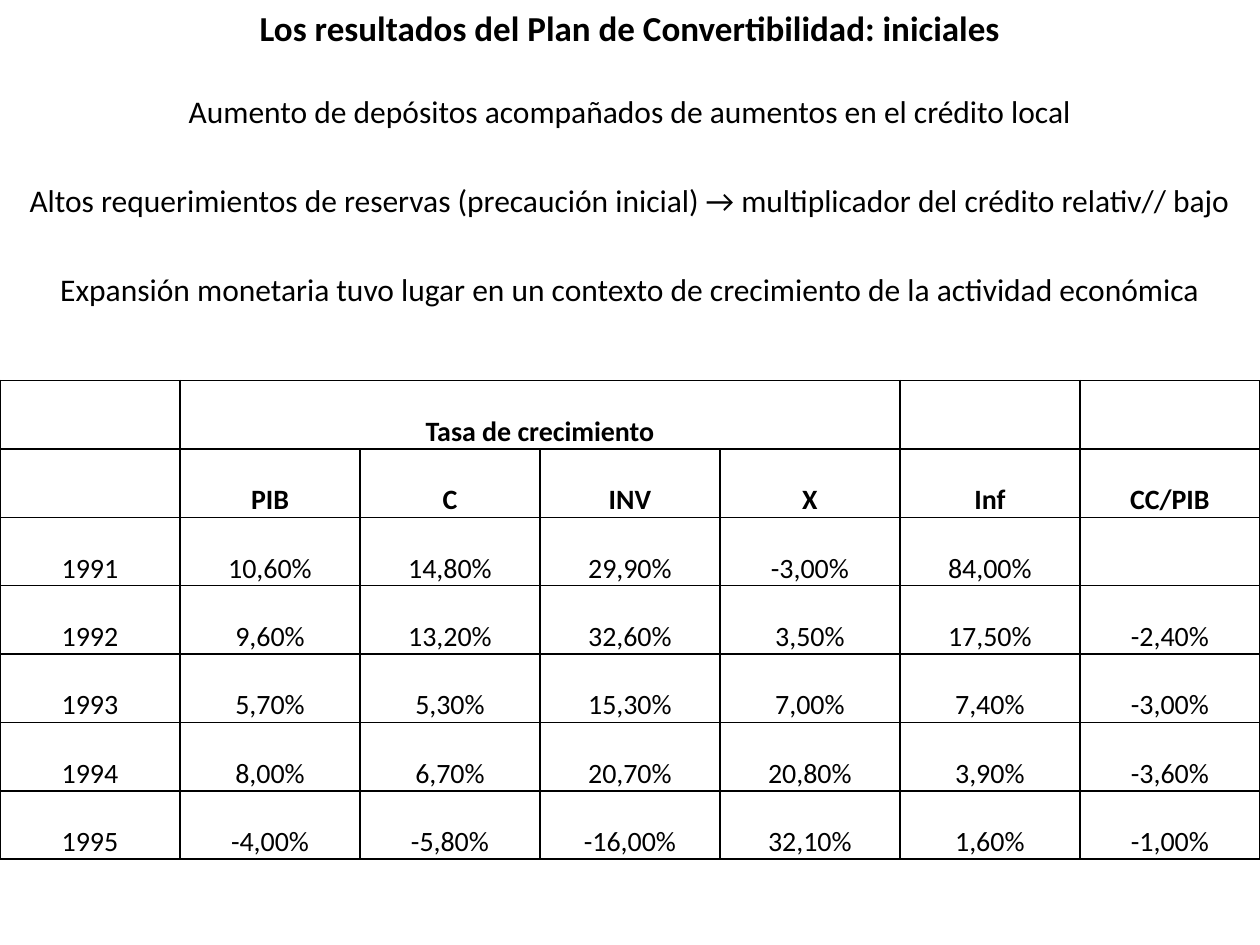
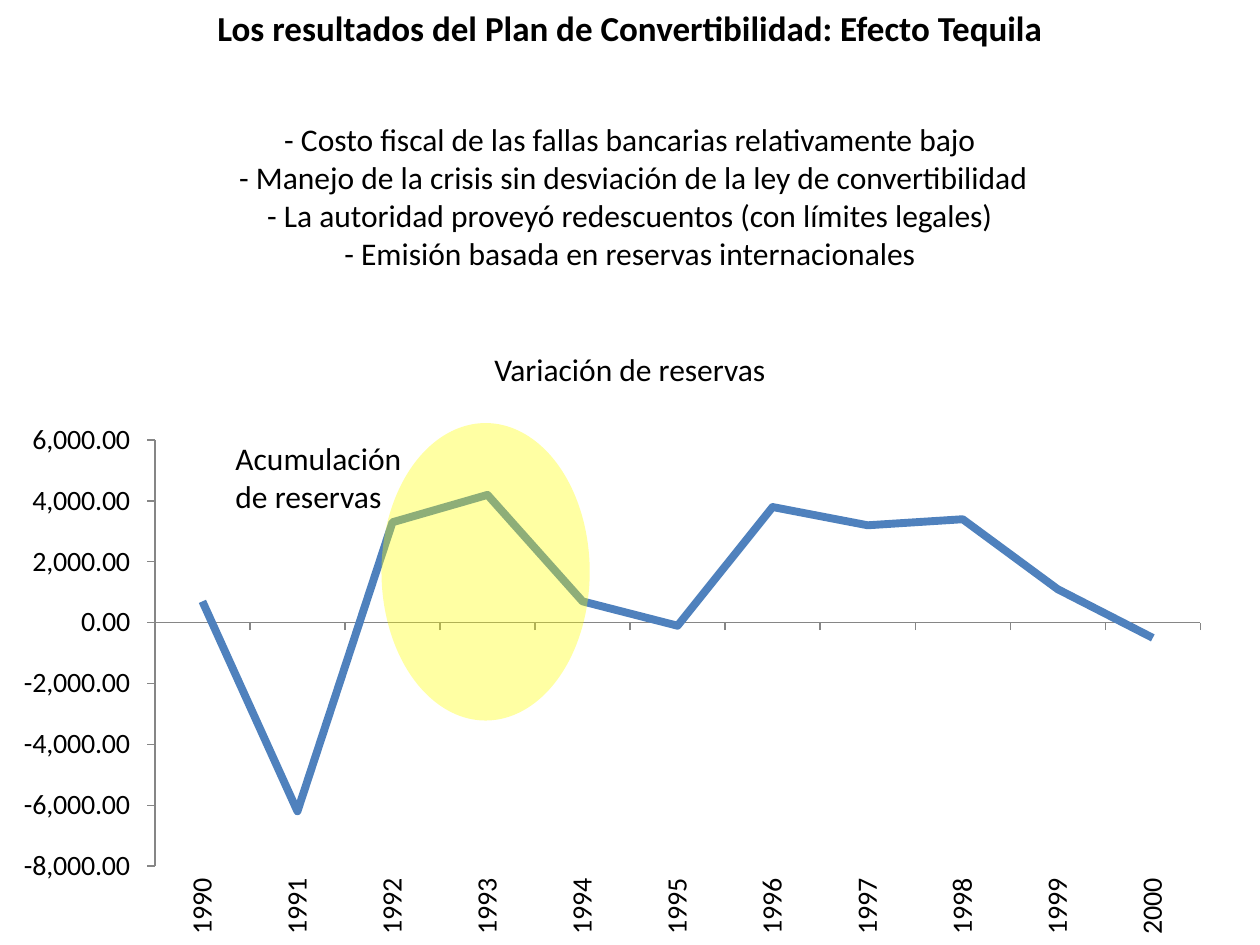
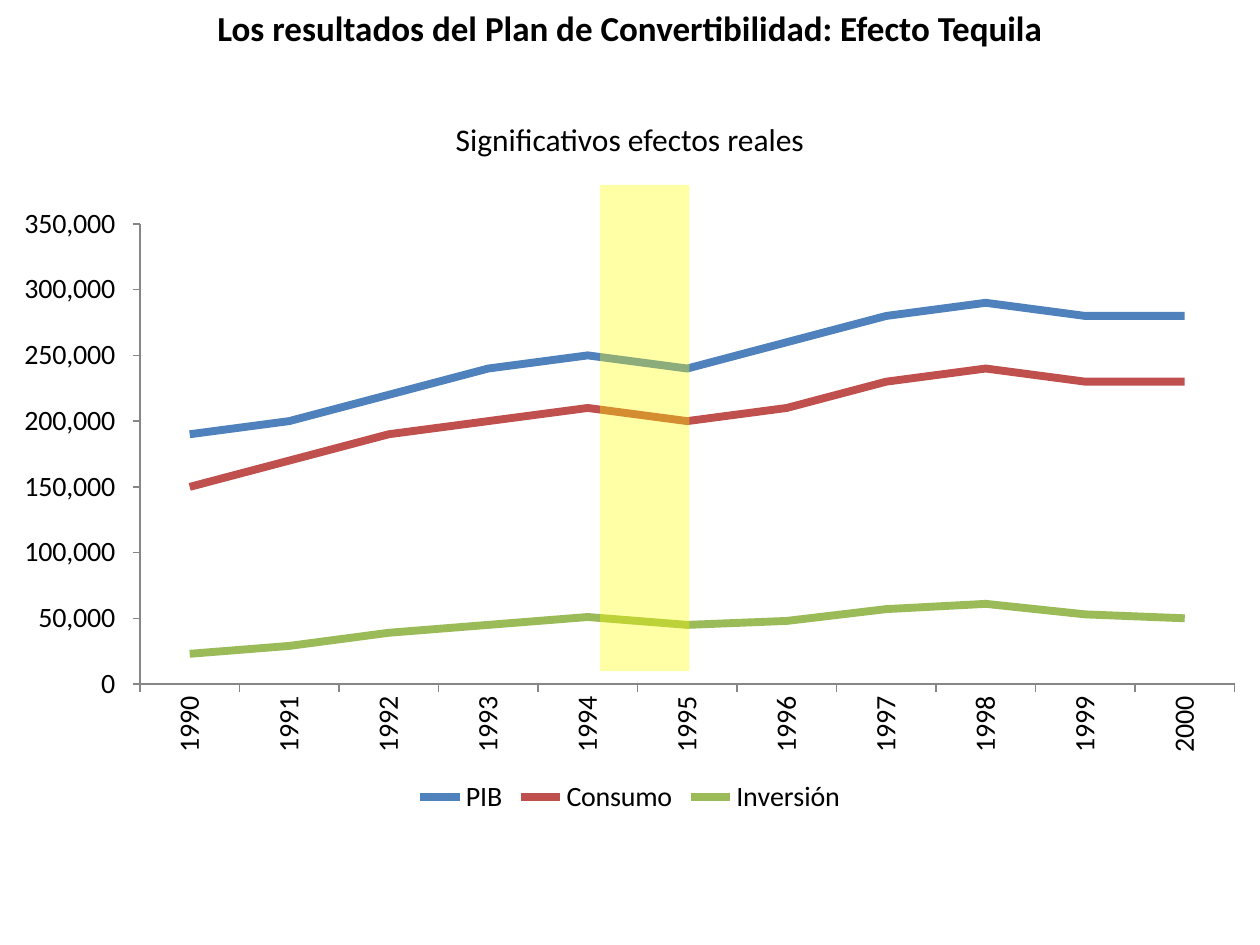
import pptx
import pptx.chart.data
import pptx.dml.color
import pptx.enum.chart
import pptx.enum.shapes
import pptx.enum.text
import pptx.oxml
import pptx.oxml.ns
import pptx.util

Pt = pptx.util.Pt
ALIGN = pptx.enum.text.PP_ALIGN
CHART = pptx.enum.chart
BLACK, GREY, YELLOW = "000000", "868686", "FFFF00"
BLUE, RED, GREEN = "4F81BD", "C0504D", "9BBB59"
YEARS = [str(year) for year in range(1990, 2001)]
TITLE = "Los resultados del Plan de Convertibilidad: "


def paint(color_format, color):
    color_format.rgb = pptx.dml.color.RGBColor.from_string(color)


def assign(target, values):
    for name, value in values.items():
        setattr(target, name, value)


def child(parent, tag, **attributes):
    element = pptx.oxml.parse_xml(f"<{tag} {pptx.oxml.ns.nsdecls(tag.split(':')[0])}/>")
    for name, value in attributes.items():
        element.set(name, str(value))
    parent.append(element)
    return element


class Deck:
    width = 720
    font_name = "Calibri"

    def __init__(self):
        self.presentation = pptx.Presentation()
        assign(self.presentation, {"slide_width": Pt(self.width), "slide_height": Pt(540)})
        self.slide = None

    def style(self, font, size, bold=False):
        assign(font, {"name": self.font_name, "size": Pt(size), "bold": bold})
        paint(font.color, BLACK)

    def add_slide(self, subject):
        self.slide = self.presentation.slides.add_slide(self.presentation.slide_layouts[6])
        self.text([TITLE + subject], 0, height=32, size=20, bold=True)

    def text(self, lines, top, left=0, width=width, height=29, size=18, bold=False,
             alignment=ALIGN.CENTER):
        frame = self.slide.shapes.add_textbox(Pt(left), Pt(top), Pt(width), Pt(height)).text_frame
        assign(frame, {
            "word_wrap": True,
            "auto_size": pptx.enum.text.MSO_AUTO_SIZE.SHAPE_TO_FIT_TEXT,
            "text": "\n".join(lines),
        })
        for paragraph in frame.paragraphs:
            paragraph.alignment = alignment
            self.style(paragraph.font, size, bold)

    def highlight(self, kind, left, top, width, height, opacity):
        area = self.slide.shapes.add_shape(kind, Pt(left), Pt(top), Pt(width), Pt(height))
        area.shadow.inherit = False
        area.fill.solid()
        paint(area.fill.fore_color, YELLOW)
        area.line.fill.background()
        tint = area.element.xpath("./p:spPr/a:solidFill/a:srgbClr")[0]
        child(tint, "a:alpha", val=opacity * 1000)

    def border(self, cell):
        properties = cell._tc.get_or_add_tcPr()
        for side in ("L", "R", "T", "B"):
            edge = child(properties, f"a:ln{side}", w=Pt(1))
            child(child(edge, "a:solidFill"), "a:srgbClr", val=BLACK)

    def table(self, rows, header_rows, top, height):
        table = self.slide.shapes.add_table(
            len(rows), len(rows[0]), 0, Pt(top), Pt(self.width), Pt(height)).table
        assign(table, {"first_row": False, "horz_banding": False})
        for row_index, row in enumerate(rows):
            for column_index, content in enumerate(row):
                cell = table.cell(row_index, column_index)
                assign(cell, {
                    "text": content,
                    "vertical_anchor": pptx.enum.text.MSO_ANCHOR.BOTTOM,
                    "margin_left": Pt(0.75), "margin_right": Pt(0.75),
                    "margin_top": Pt(0.75), "margin_bottom": 0,
                })
                paragraph = cell.text_frame.paragraphs[0]
                paragraph.alignment = ALIGN.CENTER
                self.style(paragraph.font, 16, row_index < header_rows)
                self.border(cell)
                cell.fill.background()
        return table

    def line_chart(self, series, top, width, height, number_format, scale, plot_box, legend=False):
        data = pptx.chart.data.CategoryChartData()
        data.categories = YEARS
        for name, _, values in series:
            data.add_series(name, values)
        chart = self.slide.shapes.add_chart(
            CHART.XL_CHART_TYPE.LINE, 0, Pt(top), Pt(width), Pt(height), data).chart
        assign(chart, {"has_title": False, "has_legend": legend})
        self.style(chart.font, 16)
        if legend:
            assign(chart.legend, {"position": CHART.XL_LEGEND_POSITION.BOTTOM,
                                  "include_in_layout": False})
        chart.plots[0].vary_by_categories = False
        for line, (_, color, _) in zip(chart.plots[0].series, series):
            line.smooth = False
            line.marker.style = CHART.XL_MARKER_STYLE.NONE
            line.format.line.width = Pt(4.5)
            paint(line.format.line.color, color)
        for axis in (chart.category_axis, chart.value_axis):
            assign(axis, {
                "has_major_gridlines": False,
                "major_tick_mark": CHART.XL_TICK_MARK.OUTSIDE,
                "minor_tick_mark": CHART.XL_TICK_MARK.NONE,
            })
            axis.format.line.width = Pt(0.75)
            paint(axis.format.line.color, GREY)
            self.style(axis.tick_labels.font, 16)
        chart.category_axis.tick_label_position = CHART.XL_TICK_LABEL_POSITION.LOW
        chart.element.xpath(".//c:catAx/c:txPr/a:bodyPr")[0].set("rot", "-5400000")
        assign(chart.value_axis, dict(zip(("minimum_scale", "maximum_scale", "major_unit"), scale)))
        assign(chart.value_axis.tick_labels, {"number_format": number_format,
                                              "number_format_is_linked": False})
        left, plot_top, plot_width, plot_height = plot_box
        self.place_plot(chart.element.xpath(".//c:plotArea")[0], {
            "x": left / width, "y": (plot_top - top) / height,
            "w": plot_width / width, "h": plot_height / height,
        })

    def place_plot(self, plot_area, shares):
        for automatic in plot_area.xpath("./c:layout"):
            plot_area.remove(automatic)
        layout = child(plot_area, "c:layout")
        plot_area.insert(0, layout)
        manual = child(layout, "c:manualLayout")
        child(manual, "c:layoutTarget", val="inner")
        for mode in ("xMode", "yMode"):
            child(manual, f"c:{mode}", val="edge")
        for name, share in shares.items():
            child(manual, f"c:{name}", val=share)


def initial_results(deck):
    deck.add_slide("iniciales")
    findings = [
        "Aumento de depósitos acompañados de aumentos en el crédito local",
        "Altos requerimientos de reservas (precaución inicial) → multiplicador del crédito relativ// bajo",
        "Expansión monetaria tuvo lugar en un contexto de crecimiento de la actividad económica",
    ]
    for index, finding in enumerate(findings):
        deck.text([finding], 49 + 51 * index)
    growth = deck.table([
        ["", "Tasa de crecimiento", "", "", "", "", ""],
        ["", "PIB", "C", "INV", "X", "Inf", "CC/PIB"],
        ["1991", "10,60%", "14,80%", "29,90%", "-3,00%", "84,00%", ""],
        ["1992", "9,60%", "13,20%", "32,60%", "3,50%", "17,50%", "-2,40%"],
        ["1993", "5,70%", "5,30%", "15,30%", "7,00%", "7,40%", "-3,00%"],
        ["1994", "8,00%", "6,70%", "20,70%", "20,80%", "3,90%", "-3,60%"],
        ["1995", "-4,00%", "-5,80%", "-16,00%", "32,10%", "1,60%", "-1,00%"],
    ], header_rows=2, top=217.5, height=273.6)
    growth.cell(0, 1).merge(growth.cell(0, 4))


def reserves(deck):
    deck.add_slide("Efecto Tequila")
    deck.text([
        "- Costo fiscal de las fallas bancarias relativamente bajo",
        " - Manejo de la crisis sin desviación de la ley de convertibilidad",
        "- La autoridad proveyó redescuentos (con límites legales)",
        "- Emisión basada en reservas internacionales",
    ], 65.2, height=94)
    variation = [700, -6200, 3300, 4200, 700, -100, 3800, 3200, 3400, 1100, -500]
    deck.line_chart([("Variación de reservas", BLUE, variation)], 236, 700, 304,
                    "#,##0.00\\ \\ ", (-8000, 6000, 2000), (88.5, 251.5, 597.5, 243.5))
    deck.text(["Variación de reservas"], 196.5)
    deck.highlight(pptx.enum.shapes.MSO_SHAPE.OVAL, 218, 241.75, 119, 170, 36)
    deck.text(["Acumulación de reservas"], 247.5, left=127.5, width=124.5, height=51,
              alignment=ALIGN.LEFT)


def real_effects(deck):
    deck.add_slide("Efecto Tequila")
    deck.text(["Significativos efectos reales"], 65)
    series = [
        ("PIB", BLUE, [190000, 200000, 220000, 240000, 250000, 240000,
                       260000, 280000, 290000, 280000, 280000]),
        ("Consumo", RED, [150000, 170000, 190000, 200000, 210000, 200000,
                          210000, 230000, 240000, 230000, 230000]),
        ("Inversión", GREEN, [23000, 29000, 39000, 45000, 51000, 45000,
                              48000, 57000, 61000, 53000, 50000]),
    ]
    deck.line_chart(series, 111.5, 720, 357, "#,##0\\ \\ ", (0, 350000, 50000),
                    (80, 128, 625.5, 263), legend=True)
    deck.highlight(pptx.enum.shapes.MSO_SHAPE.RECTANGLE, 343, 105.6, 51, 278, 35)


def main():
    deck = Deck()
    for build in (initial_results, reserves, real_effects):
        build(deck)
    deck.presentation.save("out.pptx")


if __name__ == "__main__":
    main()
